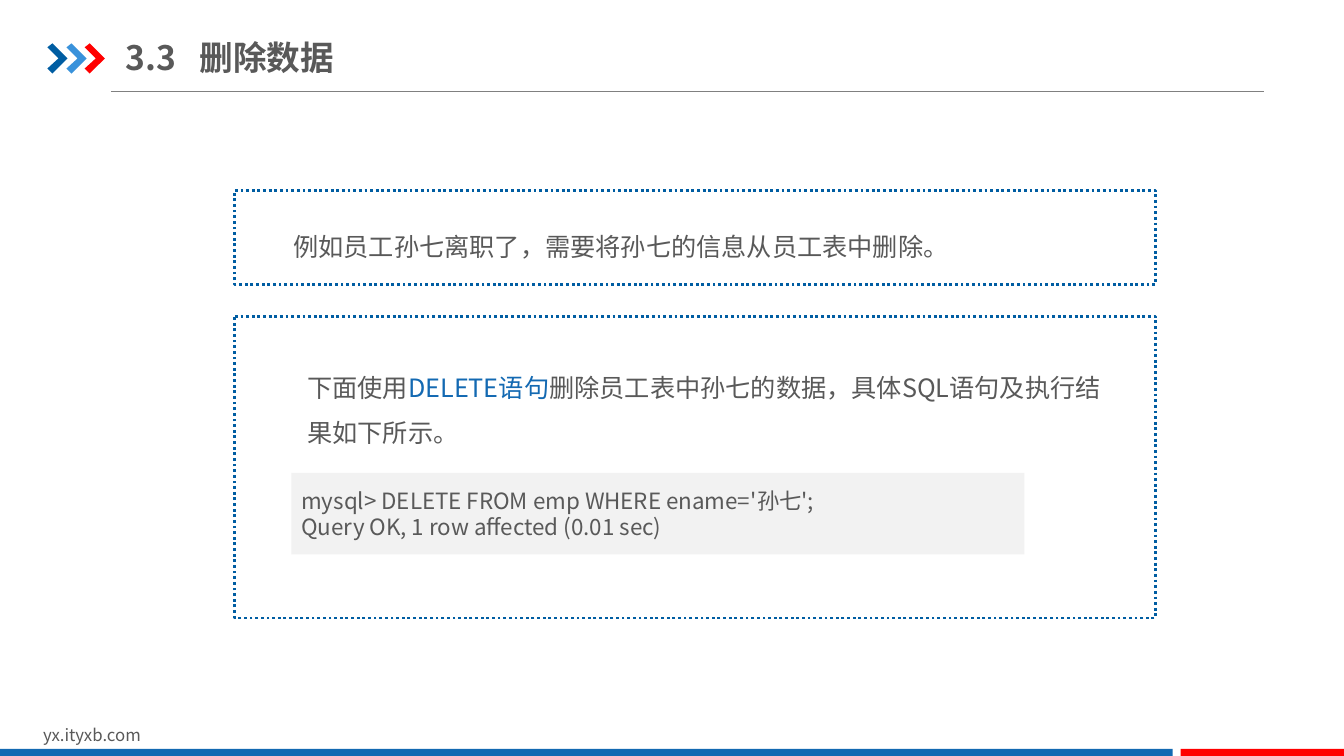
"""Build the slide on deleting data with an SQL DELETE statement."""
from lxml import etree
from pptx import Presentation
from pptx.dml.color import RGBColor
from pptx.enum.dml import MSO_LINE
from pptx.enum.shapes import MSO_CONNECTOR, MSO_SHAPE
from pptx.enum.text import MSO_ANCHOR, PP_ALIGN
from pptx.oxml.ns import qn
from pptx.util import Inches, Pt

FONT = "Noto Sans CJK SC"
GREY = RGBColor(0x59, 0x59, 0x59)
RULE_GREY = RGBColor(0x80, 0x80, 0x80)
NAVY = RGBColor(0x00, 0x5D, 0xA2)
SKY = RGBColor(0x39, 0x92, 0xDB)
BLUE = RGBColor(0x13, 0x69, 0xB2)
RED = RGBColor(0xFF, 0x00, 0x00)
PALE = RGBColor(0xF2, 0xF2, 0xF2)
WHITE = RGBColor(0xFF, 0xFF, 0xFF)


def add_run(paragraph, text, size, color=GREY, bold=False):
    run = paragraph.add_run()
    run.text = text
    run.font.name = FONT
    run.font.size = Pt(size)
    run.font.bold = bold
    run.font.color.rgb = color
    etree.SubElement(run.font._element, qn("a:ea"), typeface=FONT)


def add_panel(preset, left, top, width, height, fill):
    panel = slide.shapes.add_shape(
        preset, Inches(left), Inches(top), Inches(width), Inches(height))
    panel.shadow.inherit = False
    panel.fill.solid()
    panel.fill.fore_color.rgb = fill
    panel.line.fill.background()
    return panel


presentation = Presentation()
presentation.slide_width = Inches(13.33)
presentation.slide_height = Inches(7.5)
slide = presentation.slides.add_slide(presentation.slide_layouts[6])

title_rule = slide.shapes.add_connector(
    MSO_CONNECTOR.STRAIGHT, Inches(1.1), Inches(0.91), Inches(12.54), Inches(0.91))
title_rule.line.color.rgb = RULE_GREY
title_rule.line.width = Pt(0.75)
etree.SubElement(title_rule._element.spPr, qn("a:effectLst"))

CHEVRON = [(5, 43), (20, 58), (5, 73), (0, 68), (11, 58)]
for left, color in [(47, NAVY), (66, SKY), (84, RED)]:
    outline = slide.shapes.build_freeform(left, 47, scale=Inches(0.01))
    outline.add_line_segments([(left + x, y) for x, y in CHEVRON], close=True)
    chevron = outline.convert_to_shape()
    chevron.shadow.inherit = False
    chevron.fill.solid()
    chevron.fill.fore_color.rgb = color
    chevron.line.fill.background()

for left, width, color in [(0, 11.63, BLUE), (11.71, 1.62, RED)]:
    add_panel(MSO_SHAPE.RECTANGLE, left, 7.43, width, 0.07, color)

for top, height in [(1.89, 0.93), (3.14, 2.99)]:
    frame = add_panel(MSO_SHAPE.FLOWCHART_PROCESS, 2.33, top, 9.13, height, WHITE)
    frame.line.color.rgb = NAVY
    frame.line.width = Pt(2)
    frame.line.dash_style = MSO_LINE.ROUND_DOT

title = slide.shapes.add_textbox(
    Inches(1.25), Inches(0.29), Inches(4.26), Inches(0.55)).text_frame
title.word_wrap = True
title.vertical_anchor = MSO_ANCHOR.MIDDLE
title.margin_left = title.margin_right = 0
title.margin_top = title.margin_bottom = Inches(0.07)
heading = title.paragraphs[0]
tab_stops = etree.SubElement(heading._p.get_or_add_pPr(), qn("a:tabLst"))
etree.SubElement(tab_stops, qn("a:tab"), pos=str(Inches(0.73)), algn="l")
add_run(heading, "3.3\t删除数据", 24, bold=True)

passages = [
    (0.33, 7.14, 3.18, 0.3, 12, 1.0, [("yx.ityxb.com", GREY)]),
    (2.81, 2.1, 8.21, 1.01, 18, 1.5, [
        ("例如员工孙七离职了，需要将孙七的信息从员工表中删除。", GREY)]),
    (2.95, 3.49, 8.21, 1.01, 18, 1.5, [
        ("下面使用", GREY),
        ("DELETE语句", BLUE),
        ("删除员工表中孙七的数据，具体SQL语句及执行结果如下所示。", GREY)]),
]
for left, top, width, height, size, spacing, parts in passages:
    passage = slide.shapes.add_textbox(
        Inches(left), Inches(top), Inches(width), Inches(height)).text_frame
    passage.word_wrap = True
    passage.paragraphs[0].line_spacing = spacing
    for text, color in parts:
        add_run(passage.paragraphs[0], text, size, color)

console = add_panel(MSO_SHAPE.RECTANGLE, 2.89, 4.69, 7.27, 0.81, PALE).text_frame
console.word_wrap = True
console.vertical_anchor = MSO_ANCHOR.MIDDLE
console.add_paragraph()
console_lines = ["mysql> DELETE FROM emp WHERE ename='孙七';",
                 "Query OK, 1 row affected (0.01 sec)"]
for paragraph, text in zip(console.paragraphs, console_lines):
    paragraph.alignment = PP_ALIGN.LEFT
    add_run(paragraph, text, 16)

presentation.save("out.pptx")
